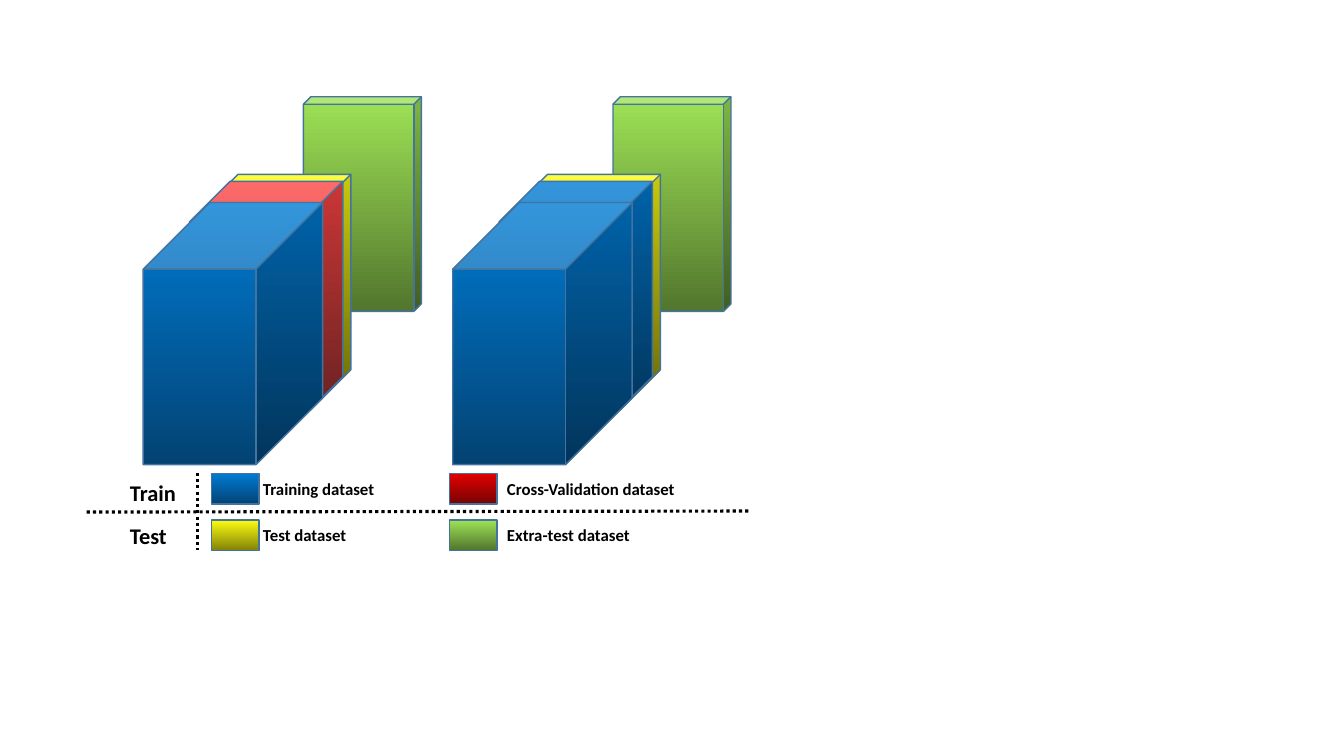
from dataclasses import dataclass

from lxml import etree
from pptx import Presentation
from pptx.dml.color import RGBColor
from pptx.enum.dml import MSO_LINE
from pptx.enum.shapes import MSO_CONNECTOR, MSO_SHAPE
from pptx.enum.text import MSO_AUTO_SIZE
from pptx.oxml.ns import qn
from pptx.util import Inches, Pt

CUBE = MSO_SHAPE.CUBE
RECT = MSO_SHAPE.RECTANGLE
STRAIGHT = MSO_CONNECTOR.STRAIGHT
DOTTED = MSO_LINE.ROUND_DOT
GROW = MSO_AUTO_SIZE.SHAPE_TO_FIT_TEXT


@dataclass(frozen=True)
class Theme:
    font: str = "Calibri"
    label_size: int = 12
    heading_size: int = 16
    outline_width: float = 1
    divider_width: float = 2.25
    ink: str = "000000"
    outline: str = "43739E"
    training: tuple = ("007BD3", "034373")
    validation: tuple = ("E30000", "760303")
    validation_block: tuple = ("FE4444", "832B2B")
    test: tuple = ("FBFB11", "838309")
    extra: tuple = ("9EE256", "52762D")


class SlideBuilder:
    def __init__(self, slide, theme):
        self.slide = slide
        self.theme = theme

    def block(self, kind, x, y, w, h, gradient, depth=None):
        s = self.slide.shapes.add_shape(kind, Inches(x), Inches(y), Inches(w), Inches(h))
        s.shadow.inherit = False
        if depth is not None:
            s.adjustments[0] = depth
        s.fill.gradient()
        s.fill.gradient_angle = 270
        for stop, position, color in zip(s.fill.gradient_stops, (0, 1), gradient):
            stop.position = position
            stop.color.rgb = RGBColor.from_string(color)
        s.line.color.rgb = RGBColor.from_string(self.theme.outline)
        s.line.width = Pt(self.theme.outline_width)

    def text(self, x, y, w, h, words, size):
        tf = self.slide.shapes.add_textbox(Inches(x), Inches(y), Inches(w), Inches(h)).text_frame
        tf.word_wrap = True
        tf.auto_size = GROW
        tf.text = words
        font = tf.paragraphs[0].runs[0].font
        font.name = self.theme.font
        font.size = Pt(size)
        font.bold = True
        font.color.rgb = RGBColor.from_string(self.theme.ink)

    def divider(self, x1, y1, x2, y2):
        c = self.slide.shapes.add_connector(STRAIGHT, Inches(x1), Inches(y1), Inches(x2), Inches(y2))
        c.line.color.rgb = RGBColor.from_string(self.theme.ink)
        c.line.width = Pt(self.theme.divider_width)
        c.line.dash_style = DOTTED
        etree.SubElement(c._element.spPr, qn("a:effectLst"))


theme = Theme()
prs = Presentation()
prs.slide_width = Inches(13.33)
prs.slide_height = Inches(7.5)
builder = SlideBuilder(prs.slides.add_slide(prs.slide_layouts[6]), theme)

STACKS = [(0, theme.validation_block), (3.07, theme.training)]
for shift, middle in STACKS:
    for x, y, w, h, gradient, depth in [
        (3.01, 0.96, 1.17, 2.13, theme.extra, 0.064),
        (1.96, 1.73, 1.52, 2.34, theme.test, 0.264),
        (1.88, 1.8, 1.52, 2.34, middle, 0.264),
        (1.42, 2.01, 1.78, 2.6, theme.training, 0.371),
    ]:
        builder.block(CUBE, x + shift, y, w, h, gradient, depth)

LEGEND_COLUMNS = [(2.1, 2.51), (4.46, 4.93)]
LEGEND_ROWS = [
    (4.7, [("Training dataset", 1.44, theme.training),
           ("Cross-Validation dataset", 2.3, theme.validation)]),
    (5.16, [("Test dataset", 1.44, theme.test),
            ("Extra-test dataset", 1.8, theme.extra)]),
]
for y, entries in LEGEND_ROWS:
    for (swatch_x, label_x), (label, width, gradient) in zip(LEGEND_COLUMNS, entries):
        builder.block(RECT, swatch_x, y, 0.47, 0.3, gradient)
        builder.text(label_x, y, width, 0.3, label, theme.label_size)

builder.divider(0.86, 5.08, 7.44, 5.07)
builder.divider(1.96, 4.69, 1.96, 5.46)

for heading, y, width in [("Train", 4.7, 0.85), ("Test", 5.13, 0.65)]:
    builder.text(1.19, y, width, 0.37, heading, theme.heading_size)

prs.save("out.pptx")
